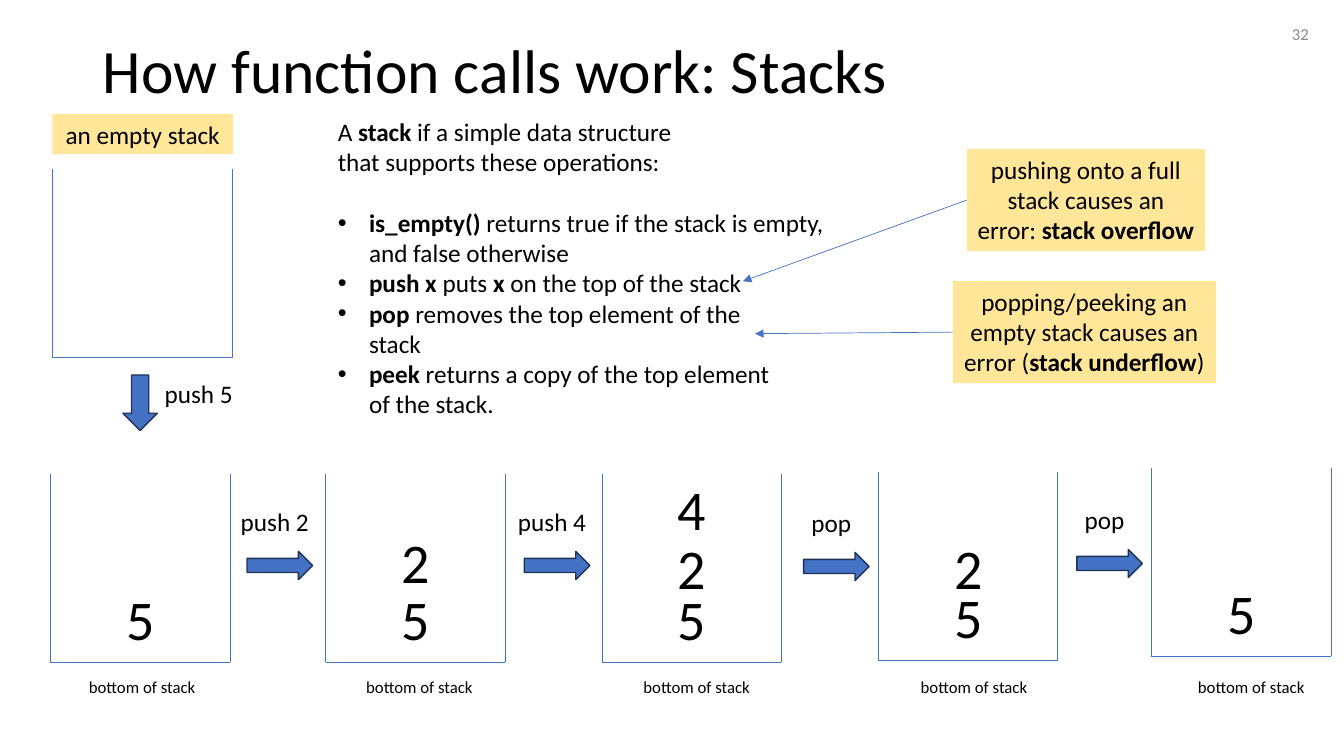
from pptx import Presentation
from pptx.dml.color import RGBColor
from pptx.enum.shapes import MSO_CONNECTOR, MSO_SHAPE
from pptx.enum.text import MSO_ANCHOR, MSO_AUTO_SIZE, PP_ALIGN
from pptx.oxml.ns import qn
from pptx.util import Inches, Pt
from lxml import etree

LEFT, MID, RIGHT = PP_ALIGN.LEFT, PP_ALIGN.CENTER, PP_ALIGN.RIGHT
TOP, CENTRE = MSO_ANCHOR.TOP, MSO_ANCHOR.MIDDLE
RECT, DOWN, ACROSS = MSO_SHAPE.RECTANGLE, MSO_SHAPE.DOWN_ARROW, MSO_SHAPE.RIGHT_ARROW
LINE = MSO_CONNECTOR.STRAIGHT
NO_FIT = MSO_AUTO_SIZE.NONE

FONT = "Calibri"
BLACK, GREY, BLUE, NAVY, YELLOW = "000000", "8C8C8C", "4472C4", "1E3256", "FFE699"
STACK_W, STACK_H = 1.78, 1.87

INTRO = "A **stack** if a simple data structure\nthat supports these operations:"
CALLS = [
    "**is_empty()** returns true if the stack is empty,\nand false otherwise",
    "**push x **puts **x** on the top of the stack",
    "**pop **removes the top element of the\nstack",
    "**peek **returns a copy of the top element\nof the stack.",
]
# left, top, then each item with its drop as a share of the stack height
STACKS = [
    (0.5, 4.7, [("5", 0.56)]),
    (3.23, 4.7, [("5", 0.56), ("2", 0.26)]),
    (5.97, 4.7, [("5", 0.56), ("2", 0.29), ("4", -0.02)]),
    (8.71, 4.68, [("5", 0.56), ("2", 0.3)]),
    (11.42, 4.64, [("5", 0.56)]),
]
# left and top of the arrow, label
STEPS = [(2.45, 5.47, "push 2"), (5.2, 5.47, "push 4"),
         (7.97, 5.48, "pop"), (10.68, 5.45, "pop")]
# box, text, arrow target
NOTES = [
    ((9.59, 1.48, 2.36, 1.01),
     "pushing onto a full stack causes an error: **stack overflow**", (7.37, 2.79)),
    ((9.45, 2.79, 2.61, 1.01),
     "popping/peeking an empty stack causes an error (**stack underflow**)", (7.49, 3.31)),
]


def rgb(code):
    return RGBColor.from_string(code)


def grid(*cells):
    """Columns and rows of one inch."""
    return [Inches(n) for n in cells]


def write(para, text, size=18, color=BLACK, align=LEFT):
    """Fill a paragraph; ** switches bold, a newline breaks the line."""
    para.alignment = align
    for i, part in enumerate(text.split("**")):
        for j, line in enumerate(part.split("\n")):
            if j:
                para.add_line_break()
            if line:
                run = para.add_run()
                run.text = line
                run.font.bold = i % 2 == 1
                run.font.name, run.font.size = FONT, Pt(size)
                run.font.color.rgb = rgb(color)


def label(slide, box, text, size=18, color=BLACK, align=MID, anchor=TOP):
    frame = slide.shapes.add_textbox(*grid(*box)).text_frame
    frame.word_wrap = False
    frame.vertical_anchor = anchor
    write(frame.paragraphs[0], text, size, color, align)


def block(slide, kind, box, fill, edge=None):
    shape = slide.shapes.add_shape(kind, *grid(*box))
    shape.shadow.inherit = False
    shape.fill.solid()
    shape.fill.fore_color.rgb = rgb(fill)
    if edge:
        shape.line.color.rgb = rgb(edge)
        shape.line.width = Pt(1)
    else:
        shape.line.fill.background()
    return shape


def tag(slide, box, text):
    frame = block(slide, RECT, box, YELLOW).text_frame
    frame.word_wrap = True
    frame.vertical_anchor = TOP
    write(frame.paragraphs[0], text, align=MID)


def rule(shapes, start, end, head=False):
    line = shapes.add_connector(LINE, *grid(*start, *end))
    line.line.color.rgb = rgb(BLUE)
    line.line.width = Pt(0.5)
    props = line._element.spPr
    if head:
        etree.SubElement(props.find(qn("a:ln")), qn("a:tailEnd"), type="triangle")
    etree.SubElement(props, qn("a:effectLst"))


def heading(slide, box, text):
    title = slide.shapes.title
    title.left, title.top, title.width, title.height = grid(*box)
    title.text_frame.vertical_anchor = CENTRE
    title.text_frame.auto_size = NO_FIT
    para = title.text_frame.paragraphs[0]
    para.line_spacing = 0.9
    write(para, text, 44)


def listing(slide, box):
    body = slide.placeholders[1]
    body.left, body.top, body.width, body.height = grid(*box)
    frame = body.text_frame
    frame.word_wrap = False
    frame.auto_size = NO_FIT
    frame.vertical_anchor = TOP
    for i, text in enumerate([INTRO] + CALLS):
        para = frame.add_paragraph() if i else frame.paragraphs[0]
        props = para._p.get_or_add_pPr()
        indent = Inches(0.31) if i else 0
        props.set("marL", str(indent))
        props.set("indent", str(-indent))
        if i:
            etree.SubElement(props, qn("a:buFont"), typeface="Arial")
            etree.SubElement(props, qn("a:buChar"), char="•")
        else:
            etree.SubElement(props, qn("a:buNone"))
        para.space_before = Pt(22 if i == 1 else 0)
        write(para, text)


def stack(slide, box, items=()):
    x, y, w, h = box
    # Open-topped frame
    parts = slide.shapes.add_group_shape().shapes
    rule(parts, (x, y), (x, y + h))
    rule(parts, (x + w, y), (x + w, y + h))
    rule(parts, (x, y + h), (x + w, y + h))
    # Items
    for text, drop in items:
        label(slide, (x + 0.365 * w, y + drop * h, 0.49, 0.77), text, 40)


def step(slide, box, text):
    x, y, w, h = box
    block(slide, ACROSS, box, BLUE, NAVY)
    wide = 0.88 if "push" in text else 0.6
    label(slide, (x + w / 2 - 0.05 - wide / 2, y - 0.5, wide, 0.4), text)


def note(slide, box, text, target):
    x, y, w, h = box
    tag(slide, box, text)
    rule(slide.shapes, (x, y + h / 2), target, head=True)


def main():
    deck = Presentation()
    deck.slide_width, deck.slide_height = grid(13.33, 7.5)
    slide = deck.slides.add_slide(deck.slide_layouts[1])

    # Title, page number and list
    heading(slide, (0.92, 0, 11.5, 1.45), "How function calls work: Stacks")
    label(slide, (10.08, 0.14, 3, 0.4), "32", 12, GREY, RIGHT, CENTRE)
    listing(slide, (3.25, 1.1, 5.05, 3.13))

    # Empty stack and the first push
    tag(slide, (0.52, 1.13, 1.79, 0.4), "an empty stack")
    stack(slide, (0.52, 1.68, STACK_W, STACK_H))
    block(slide, DOWN, (1.22, 3.72, 0.34, 0.55), BLUE, NAVY)
    label(slide, (1.53, 3.7, 0.88, 0.4), "push 5")

    # Row of stacks with captions
    for i, (x, y, items) in enumerate(STACKS):
        stack(slide, (x, y, STACK_W, STACK_H), items)
        label(slide, (0.77 + 2.75 * i, 6.66, 1.28, 0.3), "bottom of stack", 12)
    for x, y, text in STEPS:
        step(slide, (x, y, 0.65, 0.28), text)

    # Error notes
    for box, text, target in NOTES:
        note(slide, box, text, target)

    deck.save("out.pptx")


if __name__ == "__main__":
    main()
